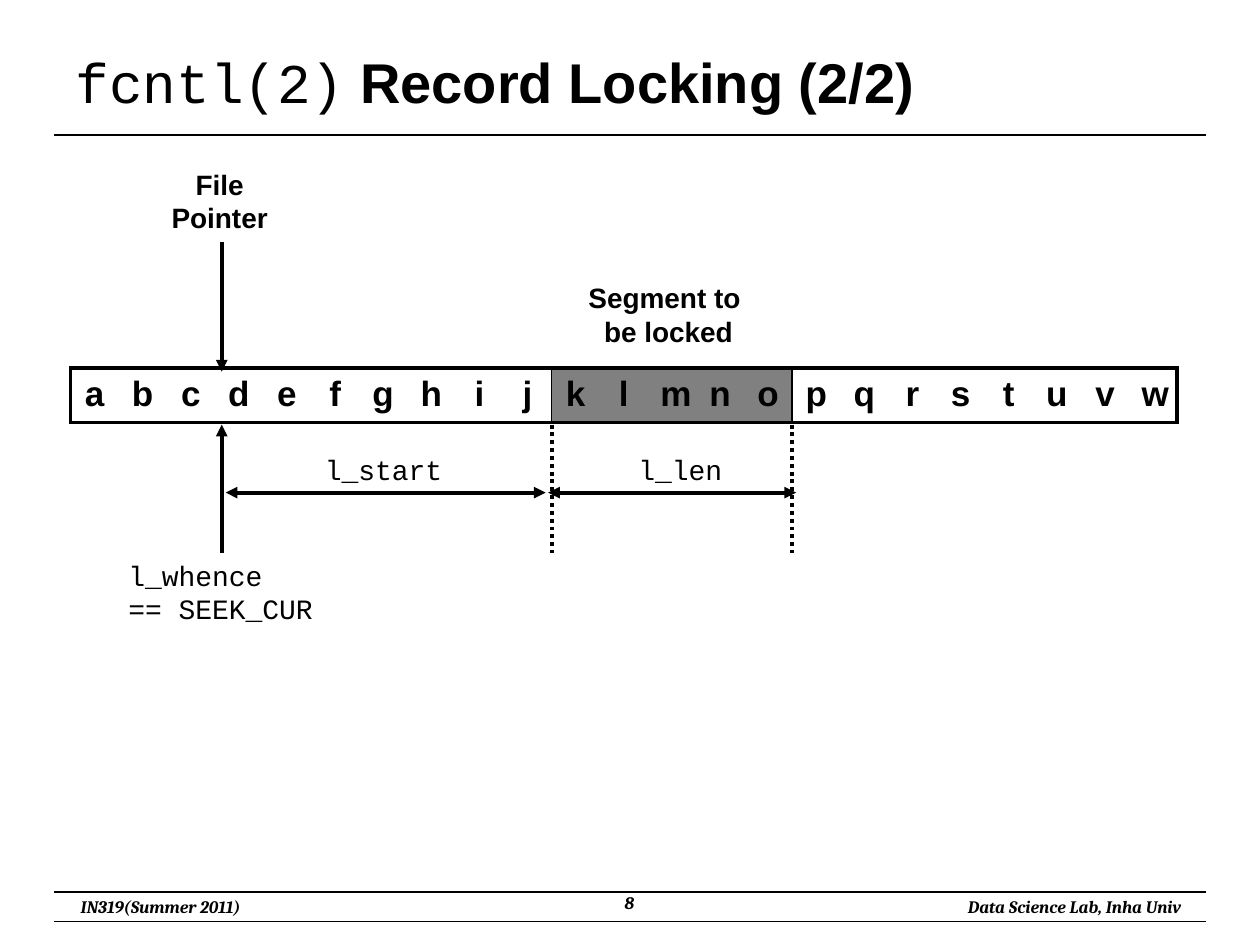
from dataclasses import dataclass

from lxml.etree import SubElement
from pptx import Presentation
from pptx.dml.color import RGBColor
from pptx.enum.dml import MSO_LINE_DASH_STYLE as Dash
from pptx.enum.shapes import MSO_CONNECTOR as Connector
from pptx.enum.text import MSO_ANCHOR as Anchor, MSO_AUTO_SIZE as AutoSize, PP_ALIGN as Align
from pptx.oxml.ns import qn
from pptx.util import Cm, Pt


@dataclass(frozen=True)
class Theme:
    ink: RGBColor = RGBColor(0, 0, 0)
    locked: RGBColor = RGBColor(0x80, 0x80, 0x80)
    sans: str = "Arial"
    mono: str = "Courier New"
    serif: str = "Cambria"
    title: float = 32
    record: float = 20
    label: float = 16
    footer: float = 10
    rule: float = 0.75
    divider: float = 1
    heavy: float = 2.25


THEME = Theme()
RECORD = "abcdefghijklmnopqrstuvw"
LOCK_START, LOCK_END = RECORD.index("k"), RECORD.index("p")
RECORD_LEFT, RECORD_TOP, BYTE_WIDTH, RECORD_HEIGHT = 1.42, 7.42, 0.97, 1.09
POINTER_X, MEASURE_Y = 4.47, 9.93
GUIDE_TOP, GUIDE_BOTTOM = 8.56, 11.15


def style_run(run, face, size, bold=False, italic=False):
    run.font.name = face
    run.font.size = Pt(size)
    run.font.bold = bold
    run.font.italic = italic
    run.font.color.rgb = THEME.ink


def add_label(slide, text, box, face, size=THEME.label, align=Align.LEFT,
              bold=False, italic=False):
    frame = slide.shapes.add_textbox(*map(Cm, box)).text_frame
    frame.text = text
    frame.word_wrap = False
    frame.auto_size = AutoSize.SHAPE_TO_FIT_TEXT
    paragraph = frame.paragraphs[0]
    paragraph.alignment = align
    for run in paragraph.runs:
        style_run(run, face, size, bold, italic)


def add_line(slide, start, end, width=THEME.heavy, dash=None, arrows=()):
    line = slide.shapes.add_connector(Connector.STRAIGHT, *map(Cm, start + end))
    line.line.color.rgb = THEME.ink
    line.line.width = Pt(width)
    if dash:
        line.line.dash_style = dash
    outline = line.line._get_or_add_ln()
    for arrow in arrows:
        SubElement(outline, qn(f"a:{arrow}"), type="triangle")
    SubElement(line._element.spPr, qn("a:effectLst"))


def set_borders(cell, widths):
    properties = cell._tc.get_or_add_tcPr()
    for side in "LRTB":
        border = SubElement(properties, qn(f"a:ln{side}"))
        if side in widths:
            border.set("w", str(Pt(widths[side])))
            fill = SubElement(border, qn("a:solidFill"))
            SubElement(fill, qn("a:srgbClr"), val=str(THEME.ink))
        else:
            SubElement(border, qn("a:noFill"))


def byte_borders(index):
    edges = {0: THEME.heavy, LOCK_START: THEME.divider,
             LOCK_END: THEME.divider, len(RECORD): THEME.heavy}
    widths = {"T": THEME.heavy, "B": THEME.heavy}
    if index in edges:
        widths["L"] = edges[index]
    if index + 1 in edges:
        widths["R"] = edges[index + 1]
    return widths


def add_record(slide):
    record = slide.shapes.add_table(
        1, len(RECORD), Cm(RECORD_LEFT), Cm(RECORD_TOP),
        Cm(BYTE_WIDTH * len(RECORD)), Cm(RECORD_HEIGHT)).table
    record.first_row = record.horz_banding = False
    for index, letter in enumerate(RECORD):
        record.columns[index].width = Cm(BYTE_WIDTH)
        cell = record.cell(0, index)
        cell.text = letter
        paragraph = cell.text_frame.paragraphs[0]
        paragraph.alignment = Align.CENTER
        style_run(paragraph.runs[0], THEME.sans, THEME.record, bold=True)
        set_borders(cell, byte_borders(index))
        if LOCK_START <= index < LOCK_END:
            cell.fill.solid()
            cell.fill.fore_color.rgb = THEME.locked
        else:
            cell.fill.background()


def set_title(slide, call, topic):
    title = slide.shapes.title
    title.left, title.top, title.width, title.height = map(Cm, (1.27, 0.76, 22.86, 1.75))
    frame = title.text_frame
    frame.vertical_anchor = Anchor.MIDDLE
    frame.auto_size = AutoSize.NONE
    paragraph = frame.paragraphs[0]
    paragraph.alignment = Align.LEFT
    for text, face, bold in ((call, THEME.mono, False), (topic, THEME.sans, True)):
        run = paragraph.add_run()
        run.text = text
        style_run(run, face, THEME.title, bold)


def add_page_frame(slide):
    for y in (2.72, 17.98, 18.57):
        add_line(slide, (1.09, y), (24.31, y), THEME.rule)
    for text, box, align in (
            ("IN319(Summer 2011)", (1.04, 17.93, 4.39, 0.69), Align.CENTER),
            ("8", (9.73, 17.86, 5.92, 0.79), Align.CENTER),
            ("Data Science Lab, Inha Univ", (18.19, 17.93, 5.87, 0.69), Align.RIGHT)):
        add_label(slide, text, box, THEME.serif, THEME.footer, align, bold=True, italic=True)


def add_annotations(slide):
    add_line(slide, (POINTER_X, 4.88), (POINTER_X, 7.49), arrows=("tailEnd",))
    add_line(slide, (POINTER_X, GUIDE_TOP), (POINTER_X, GUIDE_BOTTOM), arrows=("headEnd",))
    for edge in (LOCK_START, LOCK_END):
        x = RECORD_LEFT + edge * BYTE_WIDTH
        add_line(slide, (x, GUIDE_TOP), (x, GUIDE_BOTTOM), dash=Dash.ROUND_DOT)
    for left, right in ((4.55, 11), (11.05, 16.05)):
        add_line(slide, (left, MEASURE_Y), (right, MEASURE_Y), arrows=("headEnd", "tailEnd"))
    for text, box in (("File\vPointer", (3.2, 3.25, 2.46, 1.63)),
                      ("Segment to \vbe locked", (11.61, 5.54, 3.73, 1.63))):
        add_label(slide, text, box, THEME.sans, align=Align.CENTER, bold=True)
    for text, box in (("l_whence\v== SEEK_CUR", (2.34, 11.13, 4.24, 1.63)),
                      ("l_start", (6.3, 8.99, 2.9, 0.94)),
                      ("l_len", (12.62, 8.99, 2.21, 0.94))):
        add_label(slide, text, box, THEME.mono)


def main():
    deck = Presentation()
    deck.slide_width, deck.slide_height = Cm(25.4), Cm(19.05)
    slide = deck.slides.add_slide(deck.slide_layouts.get_by_name("Title Only"))
    add_page_frame(slide)
    set_title(slide, "fcntl(2)", " Record Locking (2/2)")
    add_record(slide)
    add_annotations(slide)
    deck.save("out.pptx")


if __name__ == "__main__":
    main()
